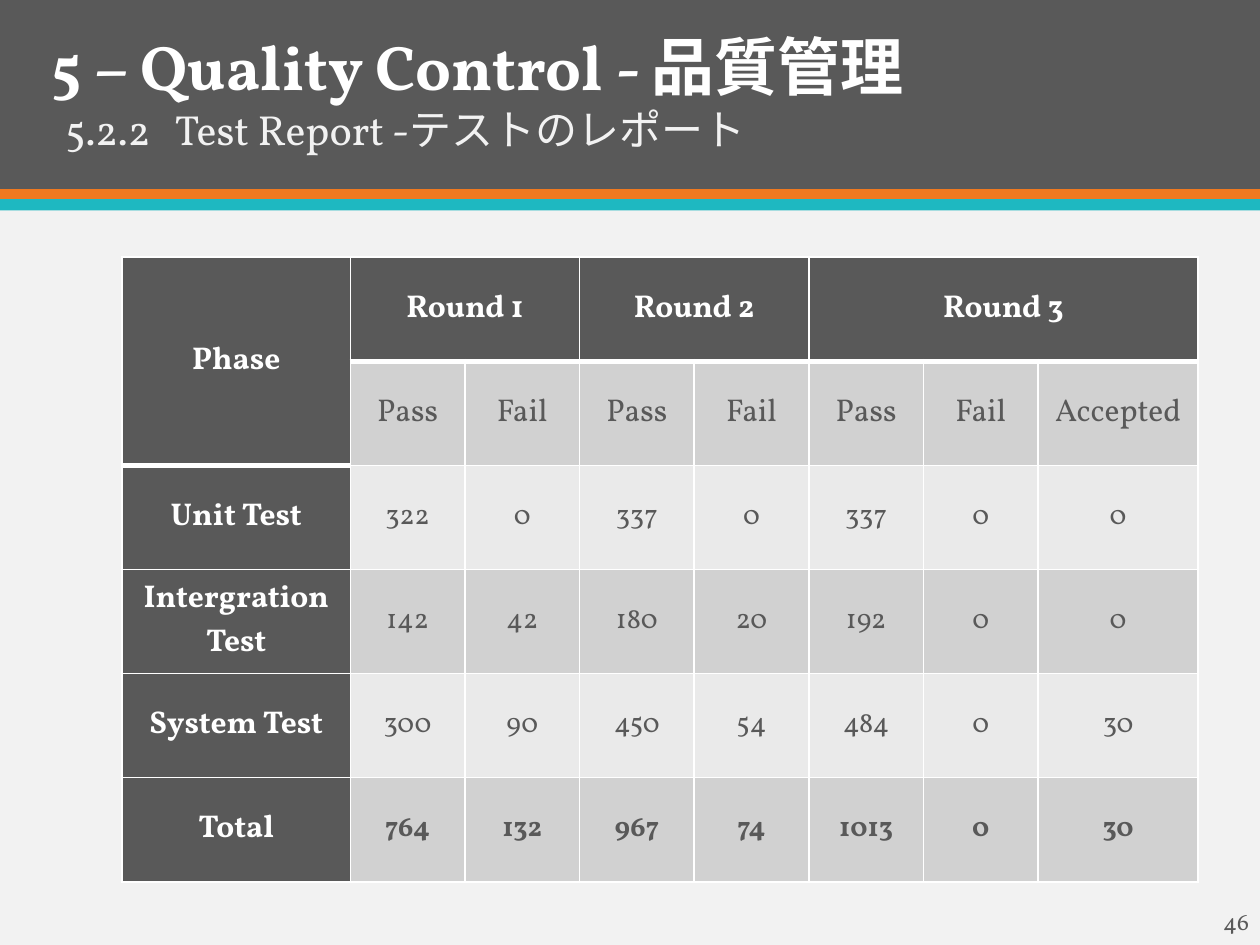
from lxml import etree
from pptx import Presentation
from pptx.dml.color import RGBColor
from pptx.enum import shapes, text
from pptx.oxml import ns
from pptx.util import Inches, Pt

FONT = "Vollkorn"
DARK = RGBColor(0x59, 0x59, 0x59)
ORANGE = RGBColor(0xEF, 0x79, 0x20)
TEAL = RGBColor(0x1E, 0xB8, 0xC1)
PALE = RGBColor(0xF2, 0xF2, 0xF2)
MID = RGBColor(0xD1, 0xD1, 0xD1)
LIGHT = RGBColor(0xEA, 0xEA, 0xEA)
WHITE = RGBColor(0xFF, 0xFF, 0xFF)

COLS = [1.81] + [0.91] * 6 + [1.27]
ROUNDS = [("Round 1", 1, 2), ("Round 2", 3, 4), ("Round 3", 5, 7)]
HEADS = ["Pass", "Fail"] * 3 + ["Accepted"]
TESTS = [
    ("Unit Test", [322, 0, 337, 0, 337, 0, 0]),
    ("Intergration Test", [142, 42, 180, 20, 192, 0, 0]),
    ("System Test", [300, 90, 450, 54, 484, 0, 30]),
    ("Total", [764, 132, 967, 74, 1013, 0, 30]),
]


def write(frame, words, size=18, color=DARK, bold=False,
          align=text.PP_ALIGN.LEFT, space=None):
    para = frame.paragraphs[0]
    para.alignment = align
    if space:
        para.line_spacing = space
    run = para.add_run()
    run.text = words
    font = run.font
    font.name, font.size, font.bold = FONT, Pt(size), bold
    font.color.rgb = color
    return para


def place(shape, left, top, width, height):
    shape.left, shape.top = Inches(left), Inches(top)
    shape.width, shape.height = Inches(width), Inches(height)


def bar(slide, top, height, color):
    box = slide.shapes.add_shape(
        shapes.MSO_SHAPE.RECTANGLE, 0, Inches(top), Inches(10), Inches(height))
    box.shadow.inherit = False
    box.fill.solid()
    box.fill.fore_color.rgb = color
    box.line.fill.background()


def label(slide, words, spot, **style):
    box = slide.shapes.add_textbox(*map(Inches, spot))
    box.text_frame.word_wrap = True
    return write(box.text_frame, words, **style)


def title(slide, words):
    head = slide.shapes.title
    place(head, 0.31, 0.16, 9.31, 0.71)
    frame = head.text_frame
    frame.auto_size = text.MSO_AUTO_SIZE.NONE
    frame.vertical_anchor = text.MSO_ANCHOR.MIDDLE
    write(frame, words, size=36, color=WHITE, bold=True)
    slide.shapes._spTree.append(head._element)


def edge(cell, side, width):
    line = etree.SubElement(cell._tc.get_or_add_tcPr(), ns.qn("a:ln" + side),
                            w=str(Pt(width)))
    fill = etree.SubElement(line, ns.qn("a:solidFill"))
    etree.SubElement(fill, ns.qn("a:srgbClr"), val=str(WHITE))


def paint(cell, row, col):
    header = row == 0 or (row == 1 and col == 0)
    for side in "LR":
        edge(cell, side, 1)
    if row == 0:
        edge(cell, "T", 1)
    edge(cell, "B", 3 if header else 1)
    cell.fill.solid()
    shade = LIGHT if row % 2 == 0 else MID
    cell.fill.fore_color.rgb = DARK if header or col == 0 else shade
    cell.vertical_anchor = text.MSO_ANCHOR.MIDDLE


def fill(cell, words, **style):
    write(cell.text_frame, str(words), align=text.PP_ALIGN.CENTER, **style)


def report(slide):
    rows = len(TESTS) + 2
    table = slide.shapes.add_table(
        rows, len(COLS), Inches(0.97), Inches(2.04),
        Inches(sum(COLS)), Inches(4.96)).table
    table.first_row = table.horz_banding = False
    for col, width in enumerate(COLS):
        table.columns[col].width = Inches(width)
        for row in range(rows):
            paint(table.cell(row, col), row, col)
    table.cell(0, 0).merge(table.cell(1, 0))
    fill(table.cell(0, 0), "Phase", color=WHITE, bold=True)
    for name, first, last in ROUNDS:
        table.cell(0, first).merge(table.cell(0, last))
        fill(table.cell(0, first), name, color=WHITE, bold=True)
    for col, name in enumerate(HEADS, 1):
        fill(table.cell(1, col), name)
    for row, (name, counts) in enumerate(TESTS, 2):
        fill(table.cell(row, 0), name, color=WHITE, bold=True)
        for col, count in enumerate(counts, 1):
            fill(table.cell(row, col), count, size=16, bold=name == "Total")


def main():
    deck = Presentation()
    deck.slide_width, deck.slide_height = Inches(10), Inches(7.5)
    slide = deck.slides.add_slide(deck.slide_layouts[5])
    back = slide.background.fill
    back.solid()
    back.fore_color.rgb = PALE
    bar(slide, 0, 1.5, DARK)
    bar(slide, 1.5, 0.09, ORANGE)
    bar(slide, 1.58, 0.09, TEAL)
    report(slide)
    para = label(slide, "5.2.2\tTest Report -テストのレポート",
                 (0.42, 0.82, 9.58, 0.52), size=24, color=PALE, space=0.9)
    props = para._p.get_or_add_pPr()
    props.set("marL", str(Inches(0.87)))
    props.set("indent", str(-Inches(0.87)))
    title(slide, "5 – Quality Control - 品質管理")
    label(slide, "46", (9.61, 7.15, 1.12, 0.3), size=13.5)
    deck.save("out.pptx")


if __name__ == "__main__":
    main()
